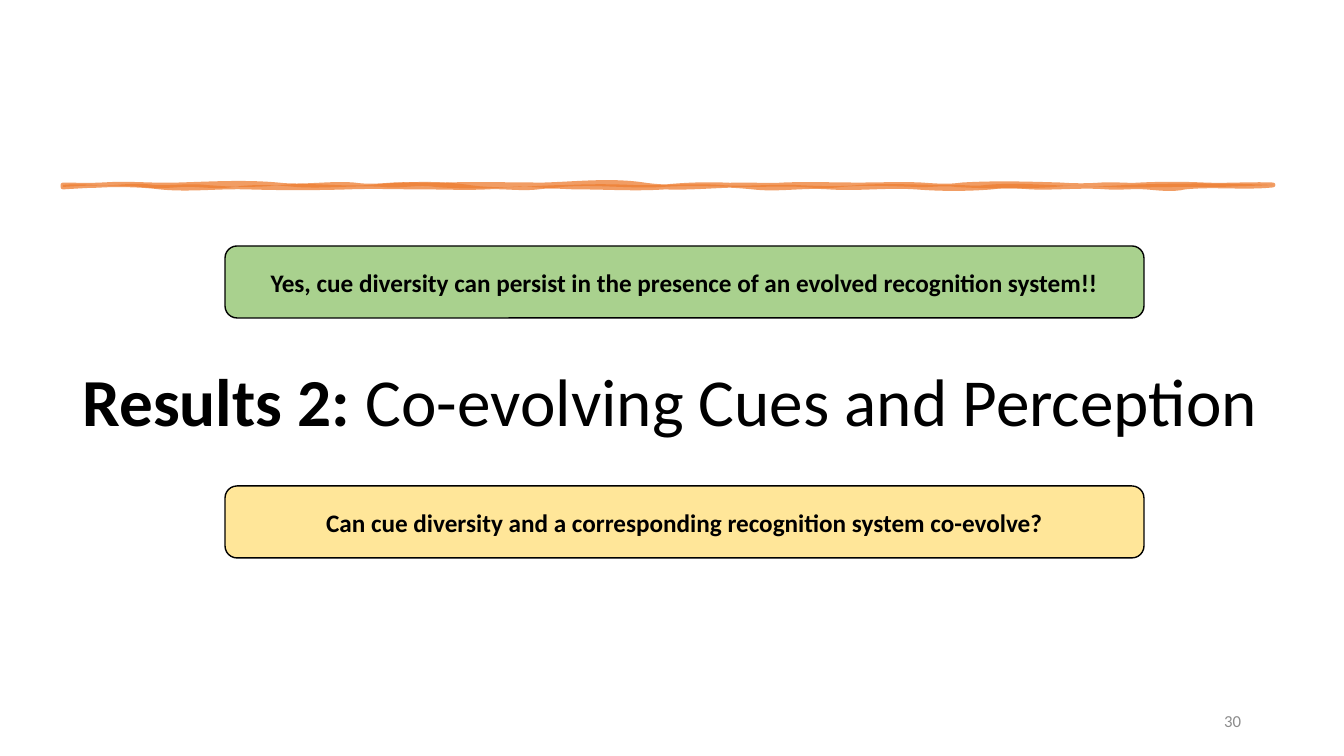
from lxml.etree import SubElement
from pptx import Presentation
from pptx.dml.color import RGBColor
from pptx.enum.shapes import MSO_SHAPE
from pptx.enum.text import MSO_ANCHOR, PP_ALIGN
from pptx.oxml.ns import qn
from pptx.util import Pt

EMU_PER_PX = 914400 / 100.8
FONT = "Calibri"
BLACK = RGBColor(0x00, 0x00, 0x00)
GRAY = RGBColor(0x8C, 0x8C, 0x8C)
ORANGE = RGBColor(0xED, 0x7D, 0x31)
GREEN = RGBColor(0xA9, 0xD1, 0x8E)
YELLOW = RGBColor(0xFF, 0xE6, 0x99)

RULE_LEFT, RULE_TOP, RULE_WIDTH, RULE_HEIGHT = 63, 185, 1210, 2

STROKE_TOP = [
    (103, 0, 1), (178, -2, 1), (278, -1, -3), (354, 3, -2), (393, 2, 1),
    (445, -1, 1), (544, -1, 0), (644, -1, -5), (744, 5, 0), (783, 0, 1),
    (859, -1, 0), (922, 0, -1), (962, 1, 2), (1061, -2, -1), (1101, 1, 1),
    (1140, -1, 1), (1204, -1, -1), (1273, 1, -1),
]
STROKE_BOTTOM = [
    (1185, 1, -3), (1146, 3, 1), (1107, -1, 1), (1031, -2, 1), (992, -1, -2),
    (916, 2, 2), (829, -2, 2), (753, -2, 3), (665, -3, -3), (578, 2, 0),
    (538, 0, -2), (487, 2, -1), (423, 1, 0), (348, 0, -1), (248, 1, 1),
    (160, -1, 3), (63, -4, -2),
]
FILL_TOP = [
    (115, -2, 1), (154, -1, -2), (206, 1, -2), (281, 2, 3), (369, -3, 2),
    (469, -3, -5), (569, 5, 0), (632, -1, -1), (720, 1, -2), (795, 2, -1),
    (859, 1, 2), (947, -2, 0), (986, -1, 2), (1049, -2, -1), (1125, 1, 2),
    (1273, -2, -2),
]
FILL_BOTTOM = [
    (1222, -1, -1), (1182, 0, 0), (1107, 0, 1), (1055, -1, -2), (956, 2, 2),
    (916, -2, 1), (841, -1, -2), (801, 2, 1), (750, -1, 0), (662, 0, -2),
    (562, 2, -3), (511, 3, -2), (435, 2, 2), (384, -3, 2), (296, -2, 2),
    (233, -2, -3), (181, 3, -1), (142, 1, 2), (63, -2, -2),
]


def px(length):
    """Turn pixels into EMU."""
    return round(length * EMU_PER_PX)


def add_command(band, name, *points):
    """Add one drawing command with its points."""
    command = SubElement(band, qn(name))
    for x, y in points:
        SubElement(command, qn("a:pt"), x=str(x), y=str(y))


def add_band(bands, top, bottom, **paint_mode):
    """Add a closed band whose edges bend by (end, first pull, second pull)."""
    band = SubElement(
        bands, qn("a:path"), w=str(RULE_WIDTH), h=str(RULE_HEIGHT), **paint_mode)
    add_command(band, "a:moveTo", (0, 0))
    start = 0
    for base, bends in ((0, top), (RULE_HEIGHT, bottom)):
        for end, first, second in bends:
            end -= RULE_LEFT
            third = round((end - start) / 3)
            add_command(
                band, "a:cubicBezTo", (start + third, base + first),
                (end - third, base + second), (end, base))
            start = end
    add_command(band, "a:close")


def paint(fill):
    """Make a fill translucent orange."""
    fill.solid()
    fill.fore_color.rgb = ORANGE
    color = fill._xPr.find(qn("a:solidFill"))[0]
    SubElement(color, qn("a:alpha")).set("val", "75000")


def add_rule(page):
    """Add the hand-drawn rule as one outline of a stroked and a filled band."""
    right, bottom = RULE_LEFT + RULE_WIDTH, RULE_TOP + RULE_HEIGHT
    builder = page.shapes.build_freeform(px(RULE_LEFT), px(RULE_TOP))
    builder.add_line_segments([(px(right), px(bottom))])
    rule = builder.convert_to_shape()
    rule.shadow.inherit = False
    bands = next(rule._element.iter(qn("a:pathLst")))
    bands.clear()
    add_band(bands, STROKE_TOP, STROKE_BOTTOM, fill="none")
    add_band(bands, FILL_TOP, FILL_BOTTOM, stroke="0")
    paint(rule.fill)
    rule.line.width = Pt(3.5)
    paint(rule.line.fill)
    SubElement(rule.line._ln, qn("a:round"))


def write(shape, spans, size, color, align, anchor=MSO_ANCHOR.MIDDLE):
    """Write one paragraph of (text, bold) spans into a shape."""
    frame = shape.text_frame
    frame.word_wrap = True
    frame.vertical_anchor = anchor
    para = frame.paragraphs[0]
    para.alignment = align
    para.font.size = Pt(size)
    para.font.color.rgb = color
    for text, bold in spans:
        span = para.add_run()
        span.text = text
        span.font.name = FONT
        span.font.bold = bold
    return para


def add_text(page, left, top, width, height, *style):
    """Add a text box and return its paragraph."""
    box = page.shapes.add_textbox(px(left), px(top), px(width), px(height))
    return write(box, *style)


def add_callout(page, top, text, color):
    """Add a rounded statement box."""
    box = page.shapes.add_shape(
        MSO_SHAPE.ROUNDED_RECTANGLE, px(225), px(top), px(919), px(72))
    box.shadow.inherit = False
    box.fill.solid()
    box.fill.fore_color.rgb = color
    box.line.color.rgb = BLACK
    box.line.width = Pt(1)
    write(box, [(text, True)], 18, BLACK, PP_ALIGN.CENTER)


def main():
    """Build the slide and save it."""
    deck = Presentation()
    deck.slide_width, deck.slide_height = px(1344), px(756)
    page = deck.slides.add_slide(deck.slide_layouts[6])
    title = add_text(
        page, 63, 358, 1214, 88,
        [("Results 2: ", True), ("Co-evolving Cues and Perception", False)],
        48, BLACK, PP_ALIGN.CENTER, MSO_ANCHOR.BOTTOM)
    title.line_spacing = 0.9
    add_rule(page)
    add_text(page, 949, 701, 302, 40, [("30", False)], 12, GRAY, PP_ALIGN.RIGHT)
    add_callout(
        page, 246,
        "Yes, cue diversity can persist in the presence of an evolved recognition system!!",
        GREEN)
    add_callout(
        page, 486,
        "Can cue diversity and a corresponding recognition system co-evolve?",
        YELLOW)
    deck.save("out.pptx")


if __name__ == "__main__":
    main()
